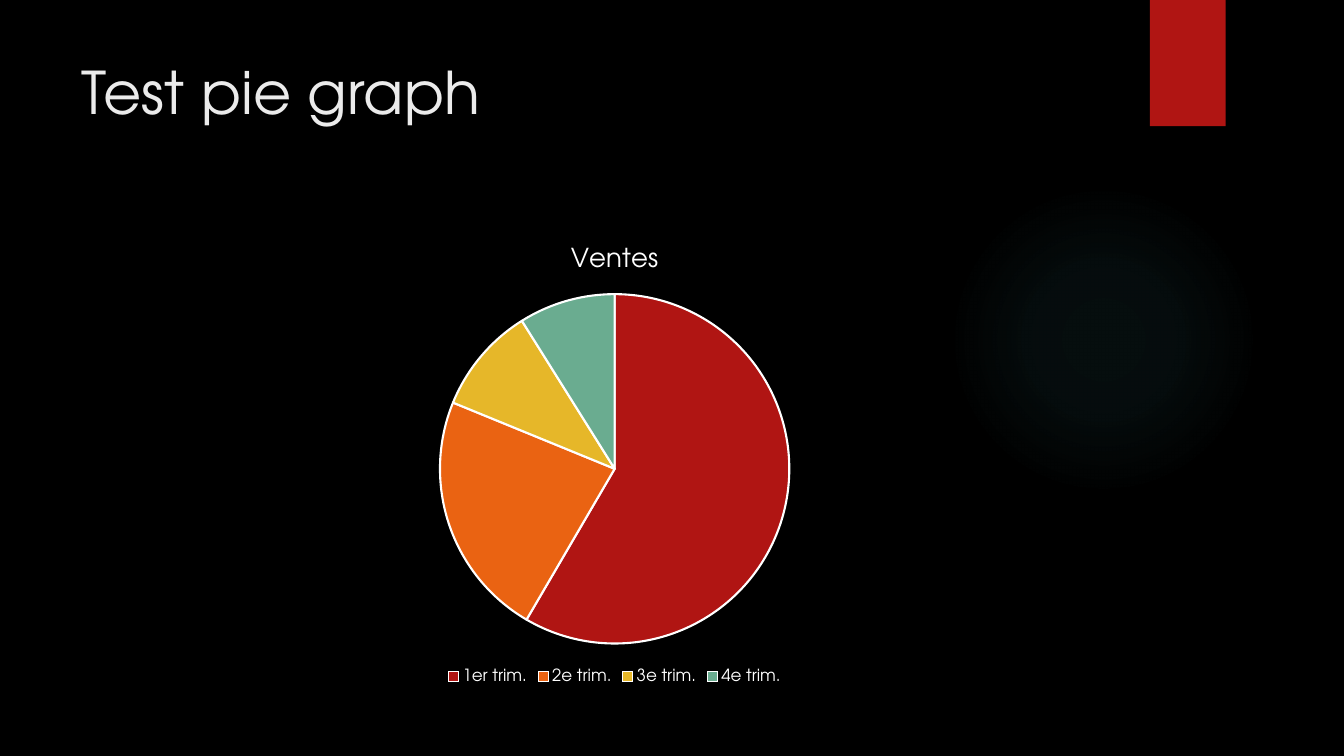
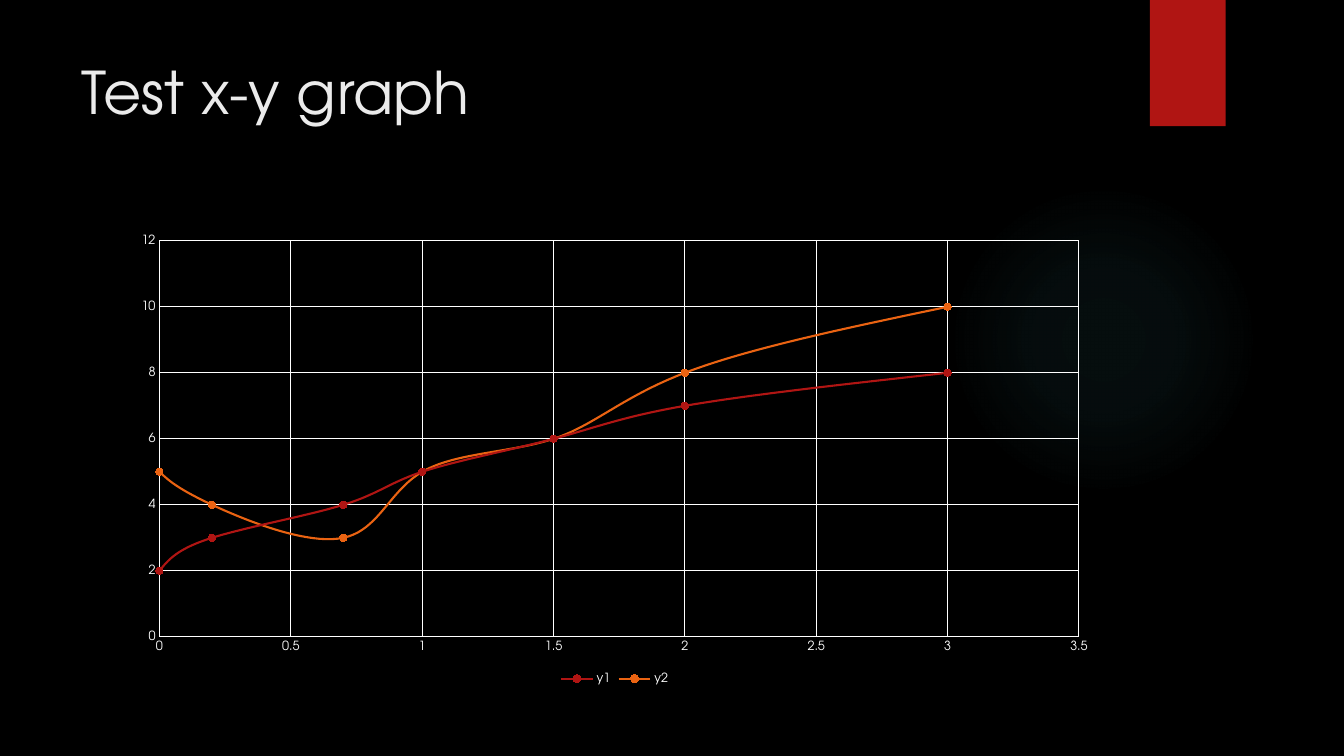
from dataclasses import dataclass

from pptx import Presentation
from pptx.chart.data import CategoryChartData, XyChartData
from pptx.dml.color import RGBColor
from pptx.enum.chart import XL_CHART_TYPE as ChartType
from pptx.enum.chart import XL_LEGEND_POSITION as LegendPosition
from pptx.enum.chart import XL_MARKER_STYLE as MarkerStyle
from pptx.enum.chart import XL_TICK_MARK as TickMark
from pptx.enum.shapes import MSO_SHAPE as Preset
from pptx.enum.text import MSO_ANCHOR as Anchor
from pptx.oxml import parse_xml
from pptx.oxml.ns import nsdecls, qn
from pptx.util import Cm, Pt


@dataclass(frozen=True)
class Theme:
    """Colours, font and type sizes of the deck."""

    font: str = "TeX Gyre Adventor"
    background: str = "000000"
    title: str = "EBEBEB"
    text: str = "FFFFFF"
    glow: str = "50B9C1"
    accents: tuple = ("B01513", "EA6312", "E6B729", "6AAC90")
    title_size: float = 42
    chart_title_size: float = 18.6
    legend_size: float = 12
    chart_size: float = 10
    axis_size: float = 9


class DeckBuilder:
    """Adds styled elements to the current page."""

    chart_area = (Cm(3.07), Cm(5.69), Cm(24.84), Cm(11.66))

    def __init__(self, theme):
        """Open an empty widescreen deck."""
        self.theme = theme
        self.deck = Presentation()
        self.deck.slide_width, self.deck.slide_height = Cm(33.87), Cm(19.05)
        self.page = None

    def color(self, value):
        """Turn a hex string into a colour."""
        return RGBColor.from_string(value)

    def style_font(self, font, size, color):
        """Apply the deck font with a size and colour."""
        font.name, font.size, font.bold = self.theme.font, Pt(size), False
        font.color.rgb = self.color(color)

    def style_line(self, line, color, width):
        """Apply a solid colour and a width in points."""
        line.color.rgb = self.color(color)
        line.width = Pt(width)

    def paint(self, fill, color):
        """Fill with one solid colour."""
        fill.solid()
        fill.fore_color.rgb = self.color(color)

    def add_page(self, title):
        """Start a page with background, glow, ribbon and title."""
        self.page = self.deck.slides.add_slide(self.deck.slide_layouts[6])
        self.paint(self.page.background.fill, self.theme.background)
        self.add_glow()
        self.add_ribbon()
        self.add_title(title)

    def add_plain_shape(self, preset, left, top, width, height):
        """Add a preset shape without outline or shadow."""
        shape = self.page.shapes.add_shape(
            preset, Cm(left), Cm(top), Cm(width), Cm(height))
        shape.shadow.inherit = False
        shape.line.fill.background()
        return shape

    def add_glow(self):
        """Add the faint round light on the right."""
        glow = self.add_plain_shape(Preset.OVAL, 23.9, 4.65, 7.82, 7.82)
        glow.fill.gradient()
        stops = "".join(
            f'<a:gs pos="{place * 1000}"><a:srgbClr val="{self.theme.glow}">'
            f'<a:alpha val="{alpha * 1000}"/></a:srgbClr></a:gs>'
            for place, alpha in ((0, 7), (36, 6), (69, 0)))
        radial = parse_xml(
            f'<a:gradFill {nsdecls("a")}><a:gsLst>{stops}</a:gsLst>'
            '<a:path path="circle"><a:fillToRect l="50000" t="50000" '
            'r="50000" b="50000"/></a:path></a:gradFill>')
        properties = glow.element.spPr
        properties.replace(properties.find(qn("a:gradFill")), radial)

    def add_ribbon(self):
        """Add the red ribbon with its soft shadow."""
        ribbon = self.add_plain_shape(Preset.RECTANGLE, 28.98, 0, 1.91, 3.18)
        self.paint(ribbon.fill, self.theme.accents[0])
        shadow = parse_xml(
            f'<a:outerShdw {nsdecls("a")} blurRad="{Pt(3)}" dist="{Pt(2)}" '
            'dir="5400000" rotWithShape="0"><a:srgbClr val="000000">'
            '<a:alpha val="45000"/></a:srgbClr></a:outerShdw>')
        ribbon.element.spPr.find(qn("a:effectLst")).append(shadow)

    def add_title(self, text):
        """Add the page title."""
        box = self.page.shapes.add_textbox(
            Cm(1.8), Cm(1.27), Cm(26.14), Cm(3.89))
        frame = box.text_frame
        frame.word_wrap = True
        frame.vertical_anchor = Anchor.TOP
        frame.text = text
        span = frame.paragraphs[0].runs[0]
        self.style_font(span.font, self.theme.title_size, self.theme.title)

    def add_chart(self, kind, data, legend_size):
        """Add a chart with a bottom legend in the content area."""
        chart = self.page.shapes.add_chart(kind, *self.chart_area, data).chart
        self.style_font(chart.font, self.theme.chart_size, self.theme.text)
        chart.has_title = False
        chart.has_legend = True
        chart.legend.position = LegendPosition.BOTTOM
        chart.legend.include_in_layout = False
        self.style_font(chart.legend.font, legend_size, self.theme.text)
        return chart

    def add_pie(self, name, shares):
        """Add a titled pie chart from a mapping of shares."""
        data = CategoryChartData()
        data.categories = list(shares)
        data.add_series(name, list(shares.values()))
        chart = self.add_chart(ChartType.PIE, data, self.theme.legend_size)
        chart.has_title = True
        heading = chart.chart_title.text_frame
        heading.text = name
        self.style_font(heading.paragraphs[0].runs[0].font,
                        self.theme.chart_title_size, self.theme.text)
        chart.chart_title.include_in_layout = False
        plot = chart.plots[0]
        plot.vary_by_categories = True
        for index, accent in zip(range(len(shares)), self.theme.accents):
            slice_format = plot.series[0].points[index].format
            self.paint(slice_format.fill, accent)
            self.style_line(slice_format.line, self.theme.text, 1.5)

    def add_curves(self, x_values, curves, x_scale, y_scale):
        """Add smooth x-y curves from a mapping of y values."""
        data = XyChartData()
        for name, y_values in curves.items():
            series = data.add_series(name)
            for x, y in zip(x_values, y_values):
                series.add_data_point(x, y)
        chart = self.add_chart(
            ChartType.XY_SCATTER_SMOOTH, data, self.theme.axis_size)
        chart.plots[0].vary_by_categories = False
        self.style_axis(chart.category_axis, *x_scale)
        self.style_axis(chart.value_axis, *y_scale)
        for series, accent in zip(chart.plots[0].series, self.theme.accents):
            self.style_line(series.format.line, accent, 1.5)
            marker = series.marker
            marker.style, marker.size = MarkerStyle.CIRCLE, 5
            self.paint(marker.format.fill, accent)
            self.style_line(marker.format.line, accent, 0.75)
        for smooth in chart.element.iter(qn("c:smooth")):
            smooth.set("val", "1")

    def style_axis(self, axis, maximum, step):
        """Set the scale, grid and labels of an axis."""
        axis.minimum_scale, axis.maximum_scale = 0, maximum
        axis.major_unit = step
        axis.major_tick_mark = axis.minor_tick_mark = TickMark.NONE
        axis.has_major_gridlines = True
        for line in (axis.format.line, axis.major_gridlines.format.line):
            self.style_line(line, self.theme.text, 0.75)
        self.style_font(
            axis.tick_labels.font, self.theme.axis_size, self.theme.text)


builder = DeckBuilder(Theme())

builder.add_page("Test pie graph")
builder.add_pie("Ventes", {
    "1er trim.": 59, "2e trim.": 23, "3e trim.": 10, "4e trim.": 9})

builder.add_page("Test x-y graph")
builder.add_curves(
    (0, 0.2, 0.7, 1, 1.5, 2, 3),
    {"y1": (2, 3, 4, 5, 6, 7, 8), "y2": (5, 4, 3, 5, 6, 8, 10)},
    x_scale=(3.5, 0.5), y_scale=(12, 2))

builder.deck.save("out.pptx")
